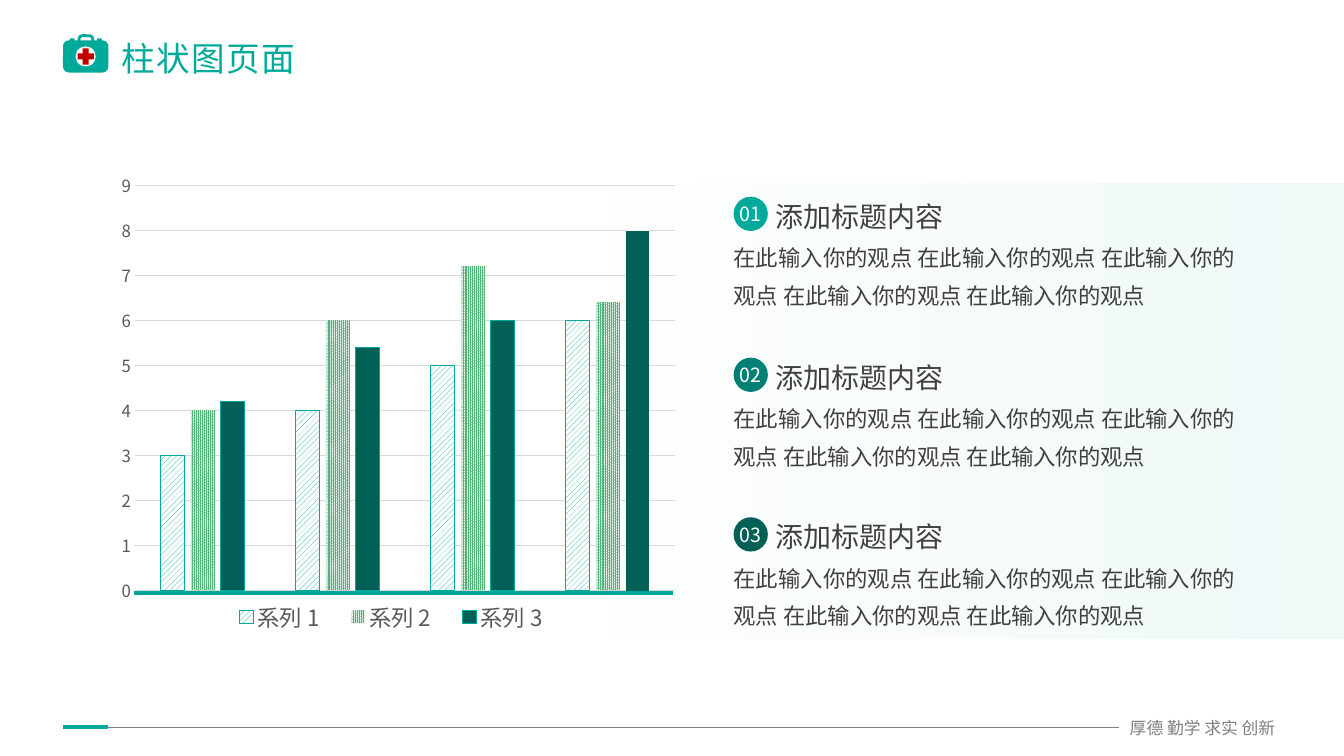
from dataclasses import dataclass
from typing import Optional

from lxml import etree
from pptx import Presentation
from pptx.chart.data import CategoryChartData
from pptx.dml.color import RGBColor
from pptx.dml.fill import FillFormat
from pptx.enum.chart import XL_CHART_TYPE, XL_LEGEND_POSITION, XL_TICK_MARK
from pptx.enum.dml import MSO_PATTERN
from pptx.enum.shapes import MSO_CONNECTOR, MSO_SHAPE
from pptx.enum.text import MSO_ANCHOR, PP_ALIGN
from pptx.oxml.ns import qn
from pptx.shapes.autoshape import Shape
from pptx.slide import Slide
from pptx.text.text import Font, TextFrame
from pptx.util import Pt

BARS = XL_CHART_TYPE.COLUMN_CLUSTERED
BOTTOM = XL_LEGEND_POSITION.BOTTOM
NO_TICK = XL_TICK_MARK.NONE
SLANT, DOTS, STRIPE = (MSO_PATTERN.WIDE_UPWARD_DIAGONAL,
                       MSO_PATTERN.PERCENT_90, MSO_PATTERN.DARK_HORIZONTAL)
STRAIGHT = MSO_CONNECTOR.STRAIGHT
RECT, ROUND, OVAL, CROSS = (MSO_SHAPE.RECTANGLE, MSO_SHAPE.ROUNDED_RECTANGLE,
                            MSO_SHAPE.OVAL, MSO_SHAPE.CROSS)
LEFT, CENTER, JUSTIFY = PP_ALIGN.LEFT, PP_ALIGN.CENTER, PP_ALIGN.JUSTIFY
TOP, MIDDLE = MSO_ANCHOR.TOP, MSO_ANCHOR.MIDDLE


@dataclass(frozen=True)
class Theme:
    face: str = "Noto Sans CJK JP"
    teal: str = "00AA9A"
    mid: str = "008074"
    deep: str = "036057"
    leaf: str = "56B27B"
    base: str = "00A697"
    red: str = "C00000"
    white: str = "FFFFFF"
    ink: str = "404040"
    label: str = "595959"
    gray: str = "808080"
    grid: str = "D9D9D9"
    title: float = 24
    head: float = 20
    body: float = 16
    badge: float = 14
    small: float = 12


@dataclass(frozen=True)
class Item:
    mark: str
    top: float
    color: str


@dataclass(frozen=True)
class Bar:
    name: str
    values: tuple[float, ...]
    style: MSO_PATTERN
    color: str
    edge: Optional[str]


@dataclass(frozen=True)
class Rule:
    x1: float
    x2: float
    y: float
    color: str
    width: float


T = Theme()
ITEMS = (Item("01", 140.5, T.teal), Item("02", 255.5, T.mid), Item("03", 369.5, T.deep))
HEAD = "添加标题内容"
BODY = " ".join(["在此输入你的观点"] * 5)
SERIES = (
    Bar("系列 1", (3, 4, 5, 6), SLANT, T.teal, T.teal),
    Bar("系列 2", (4, 6, 7.2, 6.4), DOTS, T.leaf, None),
    Bar("系列 3", (4.2, 5.4, 6, 8), STRIPE, T.deep, T.teal),
)
FOOT = (Rule(45, 799, 519.5, T.gray, 0.5), Rule(45, 77, 519.2, T.teal, 3))
BASE = Rule(95.5, 481, 423.3, T.base, 3)


def rgb(code: str) -> RGBColor:
    return RGBColor.from_string(code)


def style(font: Font, size: float, color: str) -> None:
    font.size, font.name = Pt(size), T.face
    font.color.rgb = rgb(color)
    etree.SubElement(font._element, qn("a:ea")).set("typeface", T.face)


def write(frame: TextFrame, text: str, *, size: float, color: str, align: PP_ALIGN = LEFT,
          anchor: MSO_ANCHOR = TOP, space: float = 1.0, wrap: bool = True,
          track: int = 0) -> None:
    frame.margin_left = frame.margin_right = frame.margin_top = frame.margin_bottom = Pt(0)
    frame.word_wrap, frame.vertical_anchor = wrap, anchor
    para = frame.paragraphs[0]
    para.alignment, para.line_spacing = align, space
    run = para.add_run()
    run.text = text
    style(run.font, size, color)
    if track:
        run.font._element.set("spc", str(track))


def label(slide: Slide, x: float, y: float, w: float, h: float, text: str, **form) -> None:
    box = slide.shapes.add_textbox(Pt(x), Pt(y), Pt(w), Pt(h))
    write(box.text_frame, text, **form)


def block(slide: Slide, kind: MSO_SHAPE, x: float, y: float, w: float, h: float,
          color: Optional[str] = None, adjust: Optional[float] = None) -> Shape:
    shape = slide.shapes.add_shape(kind, Pt(x), Pt(y), Pt(w), Pt(h))
    shape.shadow.inherit = False
    shape.line.fill.background()
    if color:
        shape.fill.solid()
        shape.fill.fore_color.rgb = rgb(color)
    else:
        shape.fill.background()
    if adjust is not None:
        shape.adjustments[0] = adjust
    return shape


def draw_rule(slide: Slide, rule: Rule) -> None:
    line = slide.shapes.add_connector(STRAIGHT, Pt(rule.x1), Pt(rule.y), Pt(rule.x2), Pt(rule.y))
    line.line.color.rgb, line.line.width = rgb(rule.color), Pt(rule.width)
    etree.SubElement(line._element.spPr, qn("a:effectLst"))


def draw_kit(slide: Slide) -> None:
    grip = block(slide, ROUND, 56.5, 25.5, 9.8, 8, adjust=0.3)
    grip.line.color.rgb, grip.line.width = rgb(T.teal), Pt(2)
    for x in (49.7, 69.1):
        block(slide, ROUND, x, 27.4, 3.6, 4, T.teal, 0.2)
    block(slide, ROUND, 45, 28.8, 32.4, 23, T.teal, 0.18)
    block(slide, OVAL, 54, 33.1, 14.4, 14.4, T.white)
    block(slide, CROSS, 55.4, 34.5, 11.6, 11.6, T.red, 0.31)


def draw_panel(slide: Slide) -> None:
    panel = block(slide, RECT, 389.5, 131, 570.5, 325, T.teal)
    panel.fill.gradient()
    panel.fill.gradient_angle = 0
    for stop, alpha in zip(panel.fill.gradient_stops, (0, 7000)):
        stop.color.rgb = rgb(T.teal)
        node = stop._gs.find(qn("a:srgbClr"))
        etree.SubElement(node, qn("a:alpha")).set("val", str(alpha))


def hatch(fill: FillFormat, bar: Bar) -> None:
    fill.patterned()
    fill.pattern = bar.style
    fill.fore_color.rgb, fill.back_color.rgb = rgb(bar.color), rgb(T.white)


def place(node: etree._Element, after: str, inner: bool = False, **area: float) -> None:
    for old in node.findall(qn("c:layout")):
        node.remove(old)
    frame = etree.Element(qn("c:layout"))
    spot = etree.SubElement(frame, qn("c:manualLayout"))
    if inner:
        etree.SubElement(spot, qn("c:layoutTarget")).set("val", "inner")
    for key in ("xMode", "yMode"):
        etree.SubElement(spot, qn("c:" + key)).set("val", "edge")
    for key, value in area.items():
        etree.SubElement(spot, qn("c:" + key)).set("val", str(value))
    prior = node.find(qn(after)) if after else None
    node.insert(0 if prior is None else node.index(prior) + 1, frame)


def draw_chart(slide: Slide) -> None:
    data = CategoryChartData()
    data.categories = ["1", "2", "3", "4"]
    for bar in SERIES:
        data.add_series(bar.name, bar.values)
    chart = slide.shapes.add_chart(BARS, Pt(61.2), Pt(120.2), Pt(440.6), Pt(335.5), data).chart
    style(chart.font, T.small, T.label)
    chart.has_title = False
    # Bars
    plot = chart.plots[0]
    plot.gap_width, plot.overlap, plot.vary_by_categories = 219, -27, False
    for bar, series in zip(SERIES, plot.series):
        hatch(series.format.fill, bar)
        if bar.edge:
            series.format.line.color.rgb = rgb(bar.edge)
            series.format.line.width = Pt(0.75)
        else:
            series.format.line.fill.background()
    last = plot.series[2].points[3].format
    hatch(last.fill, SERIES[2])
    last.line.fill.background()
    # Axes
    chart.category_axis.visible = False
    axis = chart.value_axis
    axis.minimum_scale, axis.maximum_scale, axis.major_unit = 0, 9, 1
    axis.major_tick_mark = NO_TICK
    axis.format.line.fill.background()
    style(axis.tick_labels.font, T.small, T.label)
    grid = axis.major_gridlines.format.line
    grid.color.rgb, grid.width = rgb(T.grid), Pt(0.75)
    # Legend and layout
    chart.has_legend = True
    chart.legend.position, chart.legend.include_in_layout = BOTTOM, False
    style(chart.legend.font, T.body, T.label)
    place(chart.legend._element, "c:legendPos", x=0.21, y=0.91, w=0.57, h=0.09)
    area = chart._chartSpace.chart.plotArea
    place(area, "", inner=True, x=0.08, y=0.036, w=0.876, h=0.863)


def draw_item(slide: Slide, item: Item) -> None:
    label(slide, 524, item.top + 26.3, 358.5, 52, BODY, size=T.body, color=T.ink,
          align=JUSTIFY, space=1.4)
    label(slide, 553.7, item.top - 3, 127.5, 27.5, HEAD, size=T.head, color=T.ink, space=1.2)
    badge = block(slide, OVAL, 524, item.top, 24.5, 24.5, item.color)
    write(badge.text_frame, item.mark, size=T.badge, color=T.white, align=CENTER,
          anchor=MIDDLE, wrap=False)


def main() -> None:
    deck = Presentation()
    deck.slide_width, deck.slide_height = Pt(960), Pt(540)
    slide = deck.slides.add_slide(deck.slide_layouts[6])
    # Footer
    label(slide, 800, 512.5, 118, 14.5, "厚德 勤学 求实 创新", size=T.small, color=T.gray,
          align=CENTER)
    for rule in FOOT:
        draw_rule(slide, rule)
    # Header
    draw_kit(slide)
    label(slide, 87, 23, 623.5, 36.5, "柱状图页面", size=T.title, color=T.teal,
          anchor=MIDDLE, track=100)
    # Content
    draw_panel(slide)
    draw_chart(slide)
    for item in ITEMS:
        draw_item(slide, item)
    draw_rule(slide, BASE)
    deck.save("out.pptx")


if __name__ == "__main__":
    main()
